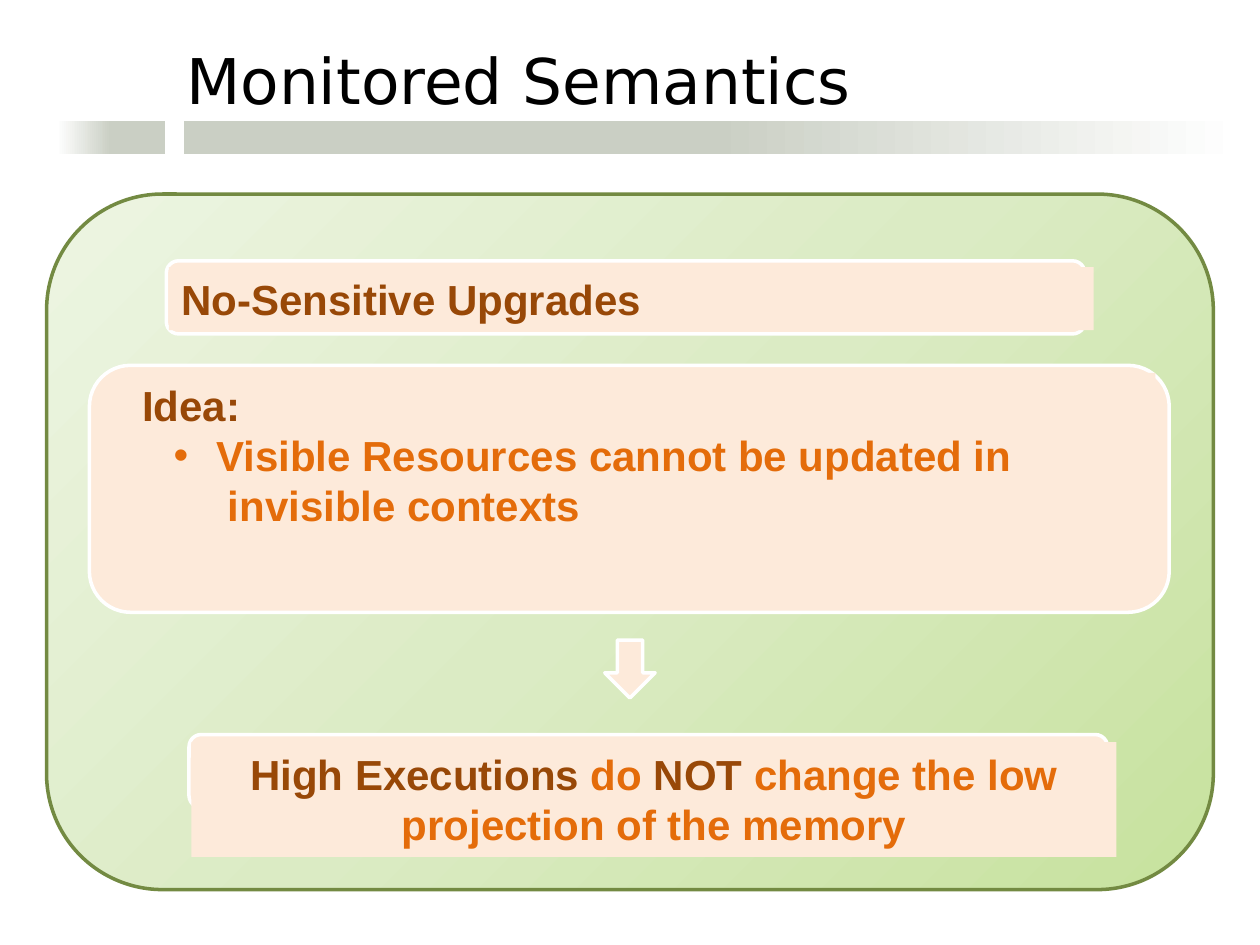
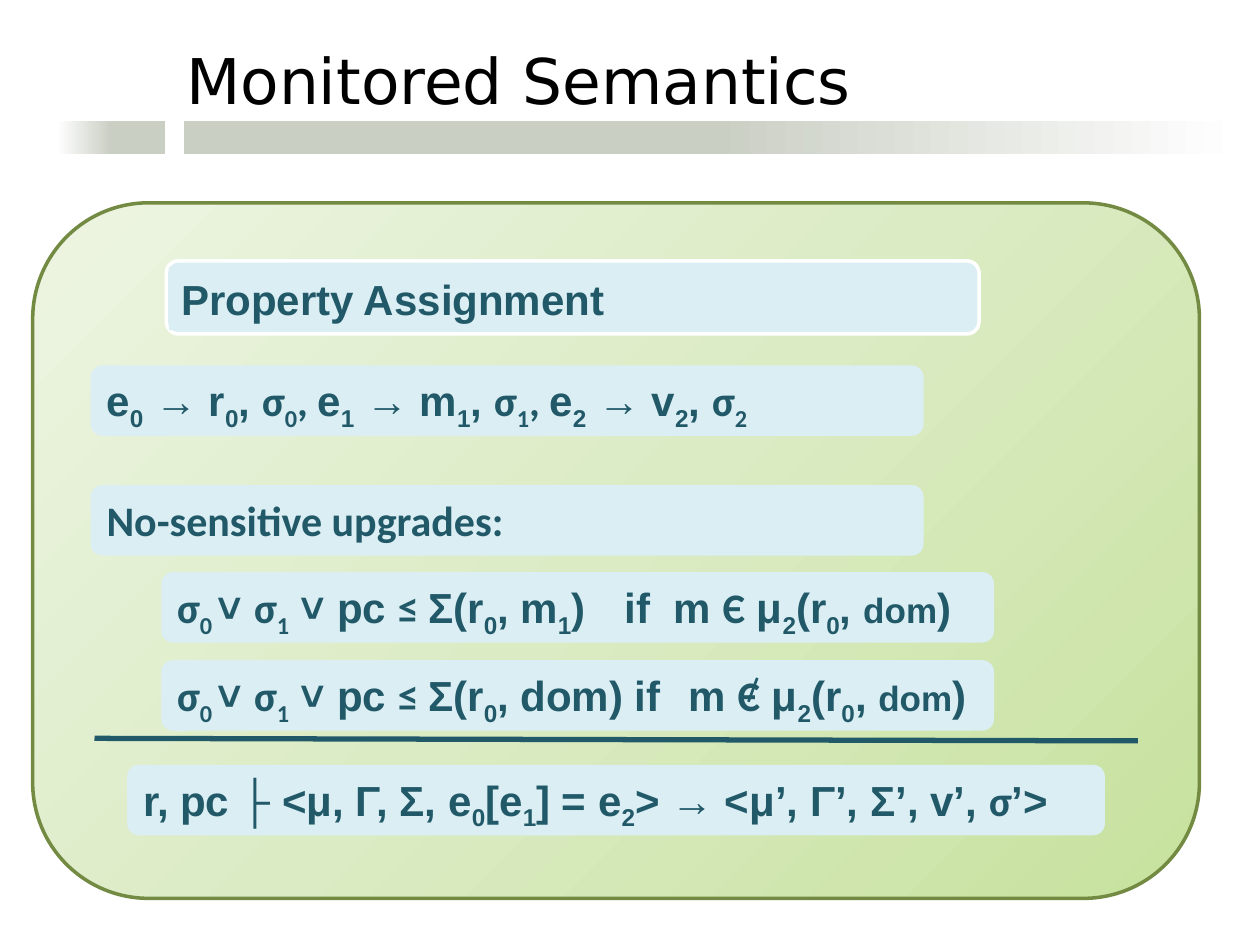
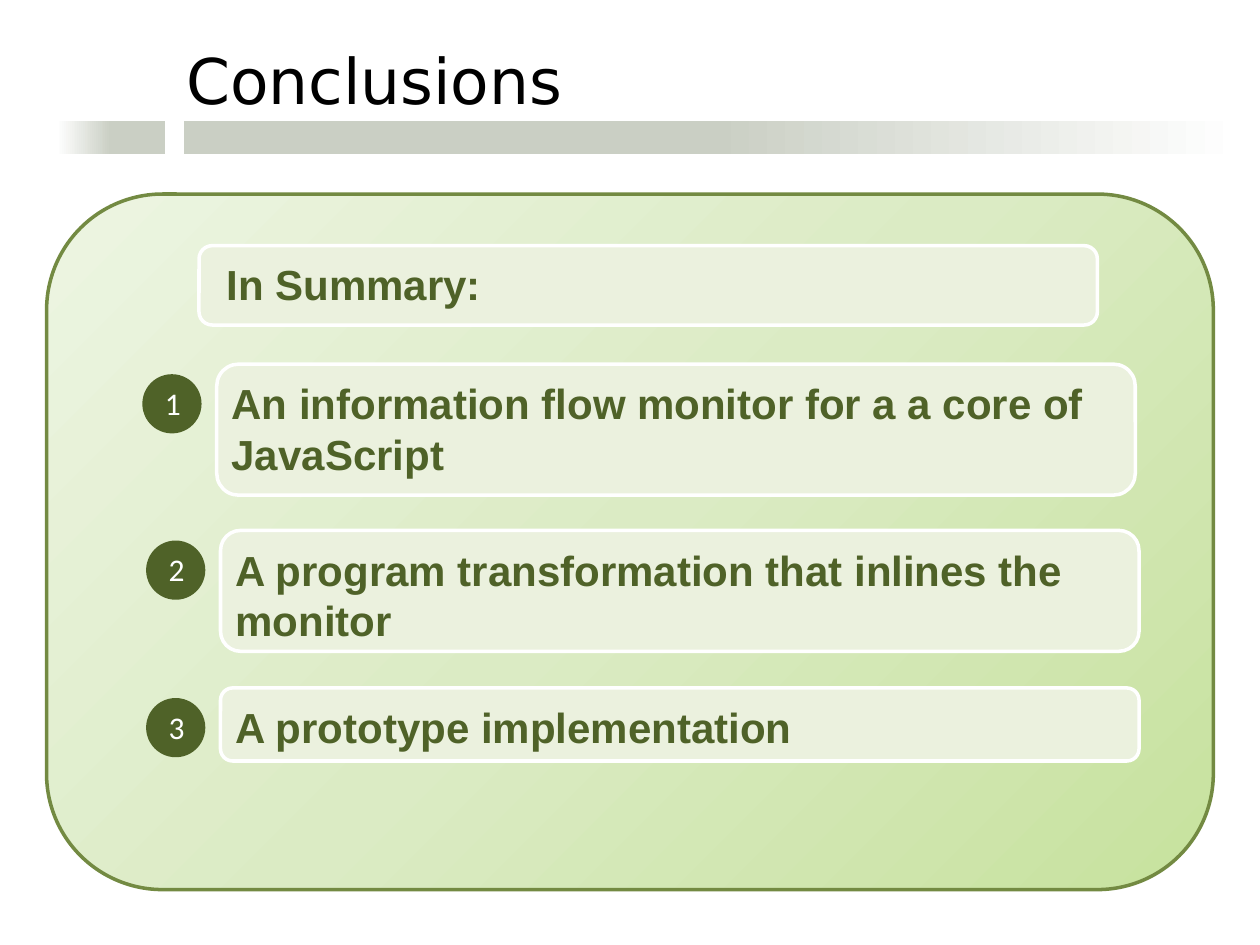
from pptx import Presentation
from pptx.dml.color import RGBColor
from pptx.enum.shapes import MSO_CONNECTOR as Connector, MSO_SHAPE as Shape
from pptx.enum.text import MSO_ANCHOR as Anchor, PP_ALIGN as Align
from pptx.oxml import parse_xml
from pptx.oxml.ns import nsdecls
from pptx.util import Inches, Pt

BROWN, ORANGE, PEACH = "984807", "E46C0A", "FDEADA"
TEAL, ICE = "215968", "DBEEF4"
OLIVE, CREAM = "4F6228", "EBF1DE"
WHITE, BLACK, PANEL_EDGE = "FFFFFF", "000000", "738A42"
BAND_STOPS = [(50, "CACFC4"), (100, WHITE), (100, "E5E7E2")]
PANEL_STOPS = [(0, "C7E29E"), (50, "DBEBC4"), (100, "EDF5E2")]
LINEAR = '<a:lin ang="0" scaled="1"/>'
FROM_CORNER = '<a:path path="circle"><a:fillToRect l="100000" t="100000"/></a:path>'


def rgb(value):
    """Return the colour for a hex string."""
    return RGBColor.from_string(value)


class Deck:
    """Hold the shared style and the slide being built."""

    def __init__(self):
        """Start an empty 10 by 7.5 inch presentation."""
        self.presentation = Presentation()
        self.presentation.slide_width = Inches(10)
        self.presentation.slide_height = Inches(7.5)
        self.slide = None

    def start(self, title, panel_left=0.37, panel_top=1.54):
        """Add a slide with its title, bands and green panel."""
        self.slide = self.presentation.slides.add_slide(self.presentation.slide_layouts[6])
        self.gradient(self.shape(Shape.RECTANGLE, 1.46, 0.96, 8.39, 0.26), BAND_STOPS, LINEAR)
        self.text(1.38, 0.28, 7.75, 0.71, [self.run(title, BLACK, 36, "DejaVu Sans", False)])
        panel = self.shape(Shape.ROUNDED_RECTANGLE, panel_left, panel_top, 9.26, 5.52,
                           edge=PANEL_EDGE)
        self.gradient(panel, PANEL_STOPS, FROM_CORNER)
        stub = self.shape(Shape.RECTANGLE, 0.45, 0.96, 0.86, 0.26)
        stub.rotation = 180
        self.gradient(stub, BAND_STOPS, LINEAR)

    def shape(self, kind, left, top, width, height, fill=None, edge=None):
        """Add a flat preset shape."""
        shape = self.slide.shapes.add_shape(
            kind, Inches(left), Inches(top), Inches(width), Inches(height))
        shape.shadow.inherit = False
        if fill:
            shape.fill.solid()
            shape.fill.fore_color.rgb = rgb(fill)
        else:
            shape.fill.background()
        if edge:
            shape.line.color.rgb = rgb(edge)
            shape.line.width = Pt(2)
        else:
            shape.line.fill.background()
        return shape

    def gradient(self, shape, stops, direction):
        """Replace the empty fill of a shape by a gradient."""
        marks = "".join(f'<a:gs pos="{position * 1000}"><a:srgbClr val="{colour}"/></a:gs>'
                        for position, colour in stops)
        properties = shape._element.spPr
        empty = properties.find("{http://schemas.openxmlformats.org/drawingml/2006/main}noFill")
        properties.replace(empty, parse_xml(
            f'<a:gradFill {nsdecls("a")} rotWithShape="1">'
            f'<a:gsLst>{marks}</a:gsLst>{direction}</a:gradFill>'))

    def card(self, left, top, width, height, fill):
        """Add a rounded card with a white edge."""
        return self.shape(Shape.ROUNDED_RECTANGLE, left, top, width, height, fill, WHITE)

    def text(self, left, top, width, height, *paragraphs):
        """Add a text box with one list of runs per paragraph."""
        box = self.slide.shapes.add_textbox(
            Inches(left), Inches(top), Inches(width), Inches(height))
        self.add_text(box, *paragraphs)

    def label(self, left, top, width, height, fill, *paragraphs, align=Align.LEFT,
              kind=Shape.RECTANGLE):
        """Add a filled shape holding text."""
        shape = self.shape(kind, left, top, width, height, fill)
        self.add_text(shape, *paragraphs, align=align)
        return shape

    def add_text(self, shape, *paragraphs, align=Align.LEFT):
        """Put paragraphs into a shape run by run."""
        frame = shape.text_frame
        frame.word_wrap = True
        frame.vertical_anchor = Anchor.TOP
        for index, runs in enumerate(paragraphs):
            paragraph = frame.add_paragraph() if index else frame.paragraphs[0]
            paragraph.alignment = align
            for words, colour, size, font, bold, baseline in runs:
                run = paragraph.add_run()
                run.text = words
                run.font.size = Pt(size)
                run.font.name = font
                run.font.bold = bold
                run.font.color.rgb = rgb(colour)
                if baseline:
                    run._r.get_or_add_rPr().set("baseline", str(baseline * 1000))

    def run(self, words, colour, size=24, font="Arial", bold=True, baseline=0):
        """Describe one run of text."""
        return words, colour, size, font, bold, baseline

    def indent(self, paragraph, margin, first=0, bullet=None):
        """Indent a paragraph and give it an optional bullet."""
        properties = paragraph._p.get_or_add_pPr()
        properties.set("marL", str(Inches(margin)))
        properties.set("indent", str(Inches(first)))
        if bullet:
            properties.append(parse_xml(f'<a:buFont {nsdecls("a")} typeface="Arial"/>'))
            properties.append(parse_xml(f'<a:buChar {nsdecls("a")} char="{bullet}"/>'))

    def formula(self, left, top, width, pieces, tabs=()):
        """Add a formula box; marks are s subscript, c Calibri, m smaller."""
        runs = [self.run(words, TEAL, 20 if "m" in marks else 24,
                         "Calibri" if "c" in marks else "Arial",
                         baseline=-25 if "s" in marks else 0)
                for words, marks in pieces]
        box = self.label(left, top, width, 0.56, ICE, runs, kind=Shape.ROUNDED_RECTANGLE)
        if tabs:
            stops = "".join(f'<a:tab pos="{Inches(tab)}" algn="l"/>' for tab in tabs)
            box.text_frame.paragraphs[0]._p.get_or_add_pPr().append(
                parse_xml(f'<a:tabLst {nsdecls("a")}>{stops}</a:tabLst>'))

    def line(self, start, end, width):
        """Draw a straight teal line."""
        line = self.slide.shapes.add_connector(
            Connector.STRAIGHT, *(Inches(value) for value in (*start, *end)))
        line.line.color.rgb = rgb(TEAL)
        line.line.width = Pt(width)
        line._element.spPr.append(parse_xml(f'<a:effectLst {nsdecls("a")}/>'))


def indexed(name, index, marks=""):
    """Return the pieces of a name with a subscript."""
    return [(name, marks), (index, marks + "s")]


def sigma(index):
    """Return the pieces of an indexed sigma."""
    return indexed("σ", index, "c")


def upgrade_rule(target, member):
    """Return the pieces of one upgrade condition."""
    return [*sigma("0 "), ("˅ ", ""), *sigma("1"), (" ˅ pc ", ""), ("≤ ", "c"),
            *indexed("Σ(r", "0"), *target, (member, ""), ("Є", "c"),
            *indexed(" μ", "2"), *indexed("(r", "0"), (", ", ""), ("dom", "m"), (")", "")]


def build_idea(deck):
    """Build the slide on the idea behind the upgrades."""
    deck.start("Monitored Semantics")
    deck.card(1.32, 2.07, 7.29, 0.58, PEACH)
    deck.label(1.34, 2.12, 7.34, 0.5, PEACH, [deck.run("No-Sensitive Upgrades", BROWN)])
    deck.card(0.71, 2.9, 8.57, 1.96, PEACH)
    idea = deck.label(1.03, 2.96, 8.14, 1.72, PEACH,
                      [deck.run("Idea:", BROWN)],
                      [deck.run("Visible Resources cannot be updated in", ORANGE)],
                      [deck.run("invisible contexts", ORANGE)])
    _, rule, rule_end = idea.text_frame.paragraphs
    deck.indent(rule, 0.59, -0.34, "•")
    deck.indent(rule_end, 0.68)
    deck.shape(Shape.DOWN_ARROW, 4.8, 5.08, 0.4, 0.46, PEACH, WHITE)
    deck.card(1.5, 5.83, 7.29, 0.58, PEACH)
    deck.label(1.52, 5.89, 7.34, 0.91, PEACH,
               [deck.run("High Executions ", BROWN), deck.run("do ", ORANGE),
                deck.run("NOT", BROWN),
                deck.run(" change the low projection of the memory", ORANGE)],
               align=Align.CENTER)


def build_assignment(deck):
    """Build the slide with the property assignment rule."""
    deck.start("Monitored Semantics", 0.26, 1.61)
    deck.card(1.32, 2.07, 6.45, 0.58, ICE)
    deck.label(1.34, 2.12, 6.23, 0.5, ICE, [deck.run("Property Assignment", TEAL)])
    deck.line((0.75, 5.86), (9.03, 5.88), 3)
    deck.formula(1.01, 6.07, 7.76, [
        *indexed("r, pc ├ <μ, Γ, Σ, e", "0"), *indexed("[e", "1"), *indexed("] = e", "2"),
        ("> → <μ’, Γ’, Σ’, v’, ", ""), ("σ", "c"), ("’>", "")])
    deck.formula(0.72, 2.9, 6.61, [
        *indexed("e", "0"), *indexed(" → r", "0"), (", ", ""), *sigma("0"), (", ", "c"),
        *indexed("e", "1"), *indexed(" → m", "1"), (", ", ""), *sigma("1"), (", ", "c"),
        *indexed("e", "2"), *indexed(" → v", "2"), (", ", ""), *sigma("2")])
    deck.formula(0.72, 3.85, 6.61, [("No-sensitive upgrades:", "c")])
    deck.formula(1.28, 4.54, 6.61, upgrade_rule(indexed(", m", "1"), ")\tif\tm "), (3.55, 3.94))
    deck.formula(1.28, 5.24, 6.61, upgrade_rule([], ", dom) if\tm "), (4.06,))
    deck.line((6.01, 5.38), (5.94, 5.57), 1.5)


def build_conclusions(deck):
    """Build the summary slide."""
    deck.start("Conclusions")
    deck.card(1.58, 1.95, 7.13, 0.63, CREAM)
    deck.text(1.7, 2, 6.94, 0.5, [deck.run("In Summary:", OLIVE)])
    results = [
        (1.72, 2.89, 1.04, "An information flow monitor for a a core of JavaScript"),
        (1.75, 4.21, 0.96, "A program transformation that inlines the monitor"),
        (1.75, 5.46, 0.58, "A prototype implementation"),
    ]
    for number, (left, top, height, result) in enumerate(results, 1):
        deck.card(left, top, 7.29, height, CREAM)
        deck.shape(Shape.OVAL, left - 0.59, top + 0.08, 0.47, 0.47, OLIVE)
        deck.text(left - 0.51, top + 0.11, 0.29, 0.4,
                  [deck.run(str(number), WHITE, 18, "Calibri", False)])
        deck.text(left + 0.02, top + 0.06, 7.15, height - 0.08, [deck.run(result, OLIVE)])


def main():
    """Build and save the deck."""
    deck = Deck()
    build_idea(deck)
    build_assignment(deck)
    build_conclusions(deck)
    deck.presentation.save("out.pptx")


if __name__ == "__main__":
    main()
